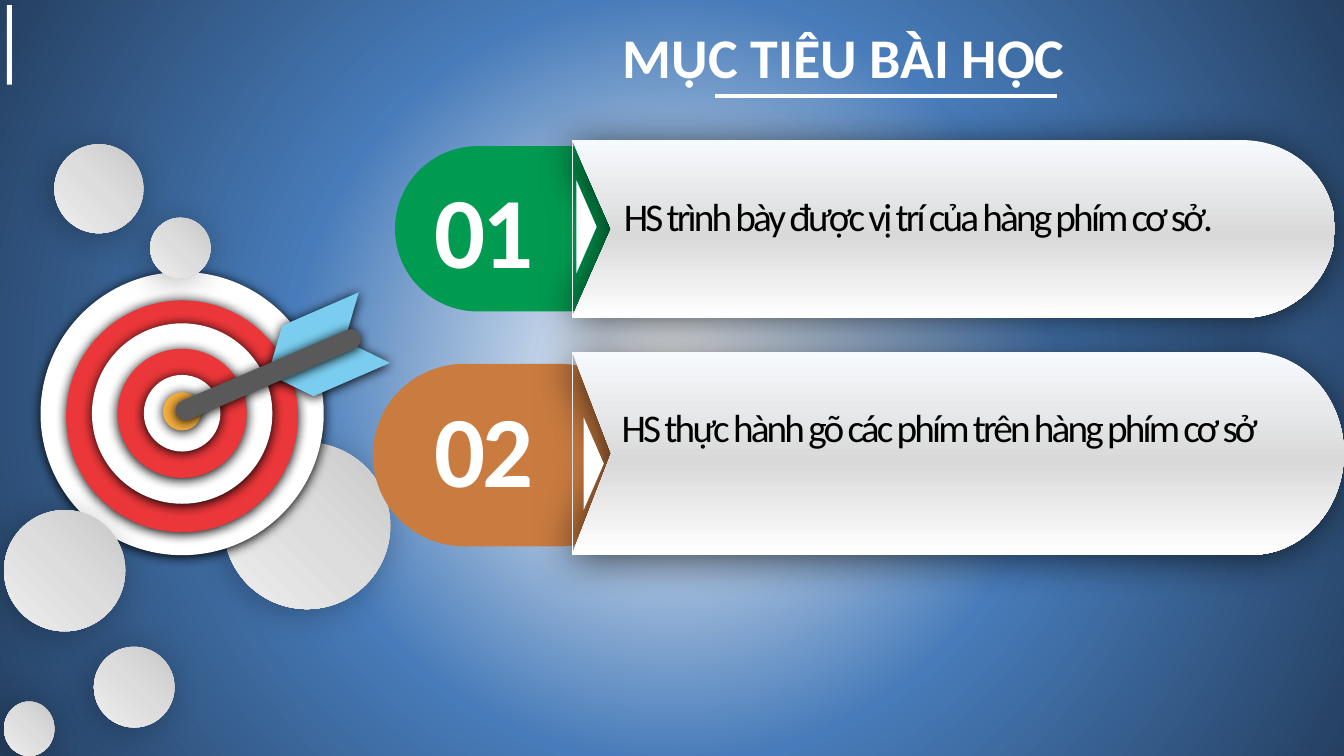
from math import atan2, cos, degrees, radians, sin

from pptx import Presentation
from pptx.dml.color import RGBColor
from pptx.enum.shapes import MSO_CONNECTOR, MSO_SHAPE
from pptx.enum.text import PP_ALIGN
from pptx.oxml import parse_xml
from pptx.oxml.ns import nsdecls
from pptx.util import Pt

COLOURS = {
    "white": "FFFFFF", "black": "000000", "green": "009A50", "orange": "C97B40",
    "red": "EB373A", "gold": "F6AE3C", "feather": "7ACDEF", "shaft": "595959",
}
BACKDROP = [(0, "FFFFFF"), (50, "477BB9"), (100, "254061")]
BUBBLE_STOPS = [(0, "C8C8C8"), (50, "DDDDDD"), (100, "EEEEEE")]
BANNER_STOPS = [(0, "F7FAFD"), (54, "D9D9D9"), (100, "FFFFFF")]

# Shadows: opacity percent, blur, distance, direction in degrees
BUBBLE_SHADOW = (28, 24, 4, 141)
BANNER_SHADOW = (65, 29, 4, 135)
TARGET_SHADOW = (100, 8.5, 1, 90)

TITLE = "MỤC TIÊU BÀI HỌC"
GOALS = [
    {"number": "01", "colour": "green", "pill": (282.2, 104.4, 199.4, 118.1),
     "banner": (408.6, 100.1, 953.6, 227), "pointer": (385.9, 154.8),
     "number_top": 116.6, "text": "HS trình bày được vị trí của hàng phím cơ sở.",
     "text_area": (438.5, 133.9, 485.3, 41), "align": PP_ALIGN.LEFT},
    {"number": "02", "colour": "orange", "pill": (266.4, 259.9, 199.4, 130.3),
     "banner": (408.6, 251.3, 959.9, 396.3), "pointer": (391, 324),
     "number_top": 272.9, "text": "HS thực hành gõ các phím trên hàng phím cơ sở",
     "text_area": (437, 284.4, 494.6, 41), "align": PP_ALIGN.JUSTIFY},
]
NOTCH, CAP = 28, 66

BACK_BUBBLE = (159.8, 316.1, 119, 119)
FRONT_BUBBLES = [
    (38.9, 103, 63.6, 63.6), (107.3, 155.5, 43.2, 43.2), (2.9, 364.3, 86.6, 86.6),
    (2.9, 501.1, 36, 38.9), (67.1, 462, 57.6, 57.6),
]

TARGET_X = 130.1
RINGS = [  # centre height, diameter, colour
    (295.4, 202.3, "white"), (297.4, 165.6, "red"), (295.4, 128.9, "white"),
    (295.2, 92.2, "red"), (295.2, 54.7, "white"), (293.8, 27.4, "gold"),
]
FEATHERS = [
    [(191.5, 267.1), (201.6, 232.6), (256.3, 208.8), (246.2, 243.4)],
    [(191.5, 267.1), (223.9, 283), (278.6, 259.2), (246.2, 243.4)],
]
SHAFT_TIP, SHAFT_END, SHAFT_RADIUS = (132.6, 293), (250.6, 242.4), 7.2
QUARTER_PULL = 0.55

deck = Presentation()
deck.slide_width, deck.slide_height = Pt(960), Pt(540)
page = deck.slides.add_slide(deck.slide_layouts[6])


def points(values):
    return [Pt(value) for value in values]


def gradient(stops, direction):
    marks = "".join(
        f'<a:gs pos="{place * 1000}"><a:srgbClr val="{colour}"/></a:gs>'
        for place, colour in stops)
    return parse_xml(f'<a:gradFill {nsdecls("a")} rotWithShape="1">'
                     f"<a:gsLst>{marks}</a:gsLst>{direction}</a:gradFill>")


def finish(shape, colour=None, stops=None, angle=0, shadow=None):
    """Give a shape a flat or gradient fill, no outline and an optional shadow."""
    shape.shadow.inherit = False
    shape.line.fill.background()
    shape.fill.solid()
    if stops:
        flat = shape.element.spPr.find("{*}solidFill")
        flat.getparent().replace(
            flat, gradient(stops, f'<a:lin ang="{angle * 60000}" scaled="0"/>'))
    else:
        shape.fill.fore_color.rgb = RGBColor.from_string(COLOURS[colour])
    if shadow:
        opacity, blur, distance, direction = shadow
        shape.element.spPr.find("{*}effectLst").append(parse_xml(
            f'<a:outerShdw {nsdecls("a")} blurRad="{Pt(blur)}" dist="{Pt(distance)}" '
            f'dir="{direction * 60000}" algn="ctr" rotWithShape="0">'
            f'<a:srgbClr val="{COLOURS["black"]}"><a:alpha val="{opacity * 1000}"/>'
            "</a:srgbClr></a:outerShdw>"))


def add_preset(kind, area, home=page, **look):
    shape = home.shapes.add_shape(kind, *points(area))
    finish(shape, **look)
    return shape


def add_outline(*contours, home=page, **look):
    """Draw closed contours of points; a list of three points is a Bézier curve."""
    builder = None
    for contour in contours:
        ends = [points(step[-1] if isinstance(step, list) else step) for step in contour]
        if builder is None:
            builder = home.shapes.build_freeform(*ends[0])
        else:
            builder.move_to(*ends[0])
        builder.add_line_segments(ends[1:])
    shape = builder.convert_to_shape()
    steps = [step for contour in contours for step in contour[1:]]
    for line, step in zip(shape.element.findall(".//{*}lnTo"), steps):
        if isinstance(step, list):
            handles = "".join(f'<a:pt x="{Pt(x) - shape.left}" y="{Pt(y) - shape.top}"/>'
                              for x, y in step)
            line.getparent().replace(line, parse_xml(
                f'<a:cubicBezTo {nsdecls("a")}>{handles}</a:cubicBezTo>'))
    finish(shape, **look)


def half_turn(centre, radii, start):
    """A start point and two quarter curves, clockwise from an angle in degrees."""
    def place(along, across, angle):
        turn = radians(angle)
        return (centre[0] + radii[0] * (along * cos(turn) - across * sin(turn)),
                centre[1] + radii[1] * (along * sin(turn) + across * cos(turn)))

    quarters = [[place(1, QUARTER_PULL, angle), place(QUARTER_PULL, 1, angle),
                 place(0, 1, angle)] for angle in (start, start + 90)]
    return [place(1, 0, start), *quarters]


def add_text(text, area, size, colour="white", bold=False, spacing=0,
             align=PP_ALIGN.LEFT):
    box = page.shapes.add_textbox(*points(area))
    box.text_frame.word_wrap = True
    para = box.text_frame.paragraphs[0]
    para.alignment = align
    span = para.add_run()
    span.text = text
    span.font.name, span.font.size, span.font.bold = "Calibri", Pt(size), bold
    span.font.color.rgb = RGBColor.from_string(COLOURS[colour])
    if spacing:
        span.font._element.set("spc", str(spacing * 100))


def add_bubble(area):
    add_preset(MSO_SHAPE.OVAL, area, stops=BUBBLE_STOPS, angle=135, shadow=BUBBLE_SHADOW)


def add_goal(goal):
    pill = add_preset(MSO_SHAPE.ROUNDED_RECTANGLE, goal["pill"], colour=goal["colour"])
    pill.adjustments[0] = 0.5
    left, top, right, bottom = goal["banner"]
    middle = (top + bottom) / 2
    cap = half_turn((right - CAP, middle), (CAP, (bottom - top) / 2), -90)
    body = [(left, top), *cap, (left, bottom), (left + NOTCH, middle)]
    edge = [(left, top), (left + 0.5, top), (left + 0.5, bottom), (left, bottom)]
    add_outline(body, edge, stops=BANNER_STOPS, angle=90, shadow=BANNER_SHADOW)
    pointer = add_preset(MSO_SHAPE.ISOSCELES_TRIANGLE, (*goal["pointer"], 66.2, 14.4),
                         colour="white")
    pointer.rotation = 90
    add_text(goal["number"], (303.1, goal["number_top"], 108, 94.3), 72, bold=True,
             spacing=-2)
    add_text(goal["text"], goal["text_area"], 28, colour="black", spacing=-2,
             align=goal["align"])


def add_target():
    target = page.shapes.add_group_shape()
    for middle, size, colour in RINGS:
        add_preset(MSO_SHAPE.OVAL, (TARGET_X - size / 2, middle - size / 2, size, size),
                   home=target, colour=colour, shadow=TARGET_SHADOW)
    for feather in FEATHERS:
        add_outline(feather, home=target, colour="feather", shadow=TARGET_SHADOW)
    slope = degrees(atan2(SHAFT_END[1] - SHAFT_TIP[1], SHAFT_END[0] - SHAFT_TIP[0]))
    radii = (SHAFT_RADIUS, SHAFT_RADIUS)
    shaft = half_turn(SHAFT_END, radii, slope - 90) + half_turn(SHAFT_TIP, radii, slope + 90)
    add_outline(shaft, home=target, colour="shaft", shadow=TARGET_SHADOW)


def add_title():
    add_preset(MSO_SHAPE.RECTANGLE, (5, 3.6, 3.6, 56.9), colour="white")
    add_text(TITLE, (437.8, 12.8, 390.2, 55.4), 40, bold=True)
    underline = page.shapes.add_connector(
        MSO_CONNECTOR.STRAIGHT, *points((510.5, 68.4, 754.8, 68.4)))
    underline.line.width = Pt(2.5)
    underline.line.color.rgb = RGBColor.from_string(COLOURS["white"])
    underline._element.spPr.append(parse_xml(f'<a:effectLst {nsdecls("a")}/>'))


page.background.fill.solid()
flat_backdrop = page.element.find(".//{*}bgPr/{*}solidFill")
flat_backdrop.getparent().replace(flat_backdrop, gradient(
    BACKDROP, '<a:path path="circle"><a:fillToRect l="50000" t="50000" r="50000" '
              'b="50000"/></a:path>'))
add_bubble(BACK_BUBBLE)
for goal in GOALS:
    add_goal(goal)
add_target()
for bubble in FRONT_BUBBLES:
    add_bubble(bubble)
add_title()
deck.save("out.pptx")
